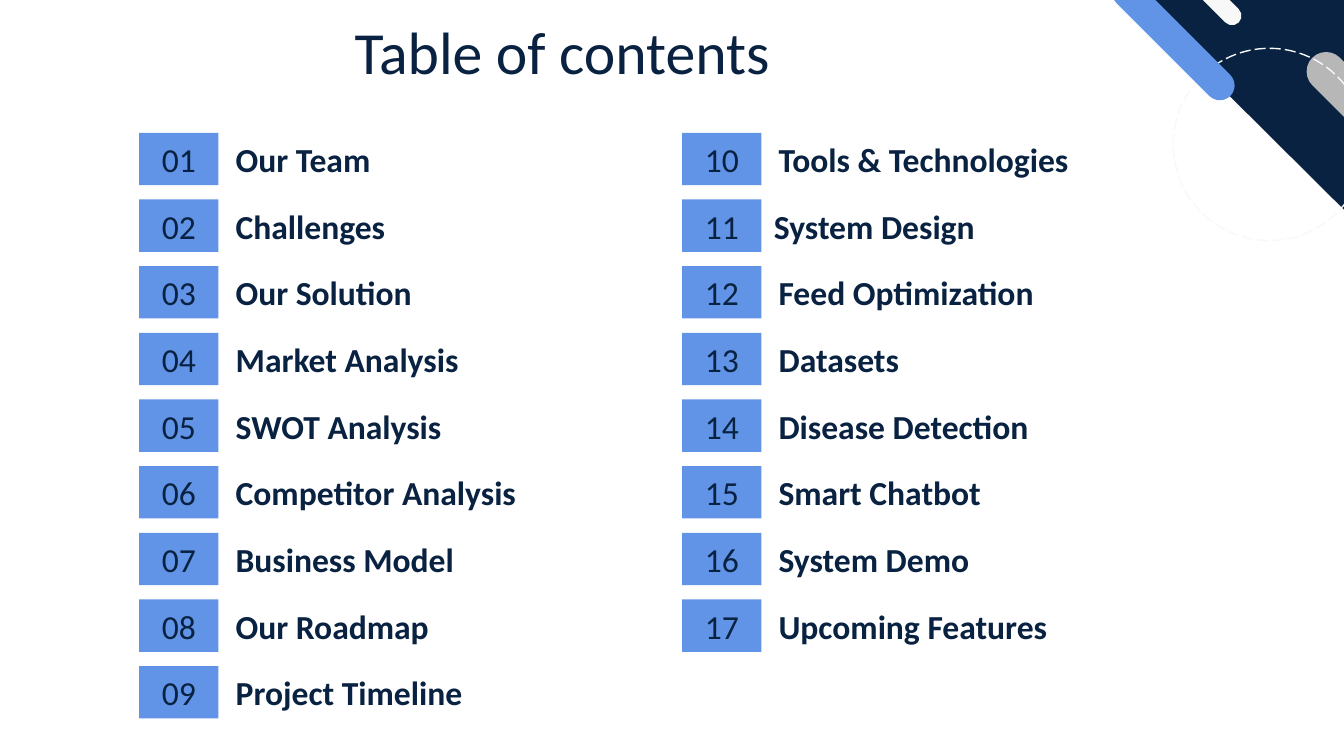
"""Build a table of contents slide with numbered topics in two columns."""
import pptx
import pptx.dml.color
import pptx.enum.dml
import pptx.enum.shapes
import pptx.enum.text
import pptx.util

COLORS = {"navy": "092241", "blue": "6194E6", "grey": "B7B7B7", "pale": "F8F8F8"}
COLUMNS, ROWS = 100, 56.25
UNIT = pptx.util.Inches(0.1)
SHAPES = pptx.enum.shapes.MSO_SHAPE
MIDDLE = pptx.enum.text.MSO_ANCHOR.MIDDLE
TOP = pptx.enum.text.MSO_ANCHOR.TOP
LEFT = pptx.enum.text.PP_ALIGN.LEFT
CENTER = pptx.enum.text.PP_ALIGN.CENTER

TITLE_FORMAT = {"name": "Calibri", "size": pptx.util.Pt(32)}
NUMBER_FORMAT = {"name": "Calibri", "size": pptx.util.Pt(18)}
TOPIC_FORMAT = {**NUMBER_FORMAT, "bold": True}

FIRST_TOPICS = [
    ("Our Team", 17.7), ("Challenges", 17.7), ("Our Solution", 20.7),
    ("Market Analysis", 24.8), ("SWOT Analysis", 23.1),
    ("Competitor Analysis", 30.9), ("Business Model", 24.8),
    ("Our Roadmap", 30.9), ("Project Timeline", 30.9),
]
SECOND_TOPICS = [
    ("Tools & Technologies", 32.8), ("System Design", 26.5),
    ("Feed Optimization", 32.7), ("Datasets", 26.1),
    ("Disease Detection", 28), ("Smart Chatbot", 25),
    ("System Demo", 22.3), ("Upcoming Features", 28),
]
TOPIC_SHIFTS = {"System Design": -0.35}


def color(name):
    """Return the named colour."""
    return pptx.dml.color.RGBColor.from_string(COLORS[name])


def place(box):
    """Turn grid columns and rows into slide lengths."""
    return [round(length * UNIT) for length in box]


def add_figure(slide, kind, box, fill=None, rotation=0):
    """Add a plain shape without outline or shadow."""
    figure = slide.shapes.add_shape(kind, *place(box))
    figure.shadow.inherit = False
    figure.line.fill.background()
    figure.rotation = rotation
    if fill:
        figure.fill.solid()
        figure.fill.fore_color.rgb = color(fill)
    else:
        figure.fill.background()
    return figure


def write(holder, wording, font_format, anchor=MIDDLE, alignment=LEFT):
    """Write one navy paragraph into a shape or text box."""
    frame = holder.text_frame
    frame_format = {"word_wrap": True, "vertical_anchor": anchor}
    for side in ("left", "right", "top", "bottom"):
        frame_format[f"margin_{side}"] = UNIT
    for key, value in frame_format.items():
        setattr(frame, key, value)
    paragraph = frame.paragraphs[0]
    paragraph.alignment = alignment
    run = paragraph.add_run()
    run.text = wording
    for key, value in font_format.items():
        setattr(run.font, key, value)
    run.font.color.rgb = color("navy")


def add_corner(slide, box):
    """Draw the decorated corner inside its box."""
    left, top, width, height = box
    add_figure(slide, SHAPES.RIGHT_TRIANGLE, box, "navy", 180)

    def add_bar(x, y, length, thickness, fill):
        """Add a slanted bar with round ends."""
        bar = add_figure(slide, SHAPES.ROUNDED_RECTANGLE,
                         (left + x, top + y, length, thickness), fill, 45)
        bar.adjustments[0] = 0.5

    add_bar(12.1, 7.9, 12.6, 2.9, "grey")
    ring = add_figure(slide, SHAPES.OVAL, (left + 3.6, top + 4.2, 14.3, 14.3))
    ring.line.color.rgb = color("pale")
    ring.line.width = pptx.util.Pt(0.75)
    ring.line.dash_style = pptx.enum.dml.MSO_LINE.LONG_DASH
    add_bar(-2.4, 2.4, 12, 2.2, "blue")
    add_bar(1.3, -1.4, 8.4, 1.4, "pale")


def add_title(slide, box):
    """Write the slide title."""
    write(slide.shapes.add_textbox(*place(box)), "Table of contents", TITLE_FORMAT, TOP)


def add_topics(slide, box, topics, first_number):
    """List numbered topics in evenly spaced rows of the box."""
    left, top, width, height = box
    pitch = height / len(FIRST_TOPICS)
    badge_width, badge_height, topic_offset = 5.9, 3.9, 6.2
    for row, (topic, topic_width) in enumerate(topics):
        y = top + row * pitch
        badge = add_figure(slide, SHAPES.RECTANGLE,
                           (left, y, badge_width, badge_height), "blue")
        write(badge, f"{first_number + row:02d}", NUMBER_FORMAT, alignment=CENTER)
        x = left + topic_offset + TOPIC_SHIFTS.get(topic, 0)
        label = slide.shapes.add_textbox(*place((x, y, topic_width, badge_height)))
        write(label, topic, TOPIC_FORMAT)


def main():
    """Build and save the slide."""
    deck = pptx.Presentation()
    deck.slide_width, deck.slide_height = place((COLUMNS, ROWS))
    slide = deck.slides.add_slide(deck.slide_layouts[6])
    add_corner(slide, (83.7, -0.6, 17, 16.9))
    add_title(slide, (25.4, 0.1, 38.9, 6.8))
    add_topics(slide, (10.35, 9.88, 37.1, 44.64), FIRST_TOPICS, 1)
    add_topics(slide, (50.75, 9.88, 39, 44.64), SECOND_TOPICS, len(FIRST_TOPICS) + 1)
    deck.save("out.pptx")


if __name__ == "__main__":
    main()
